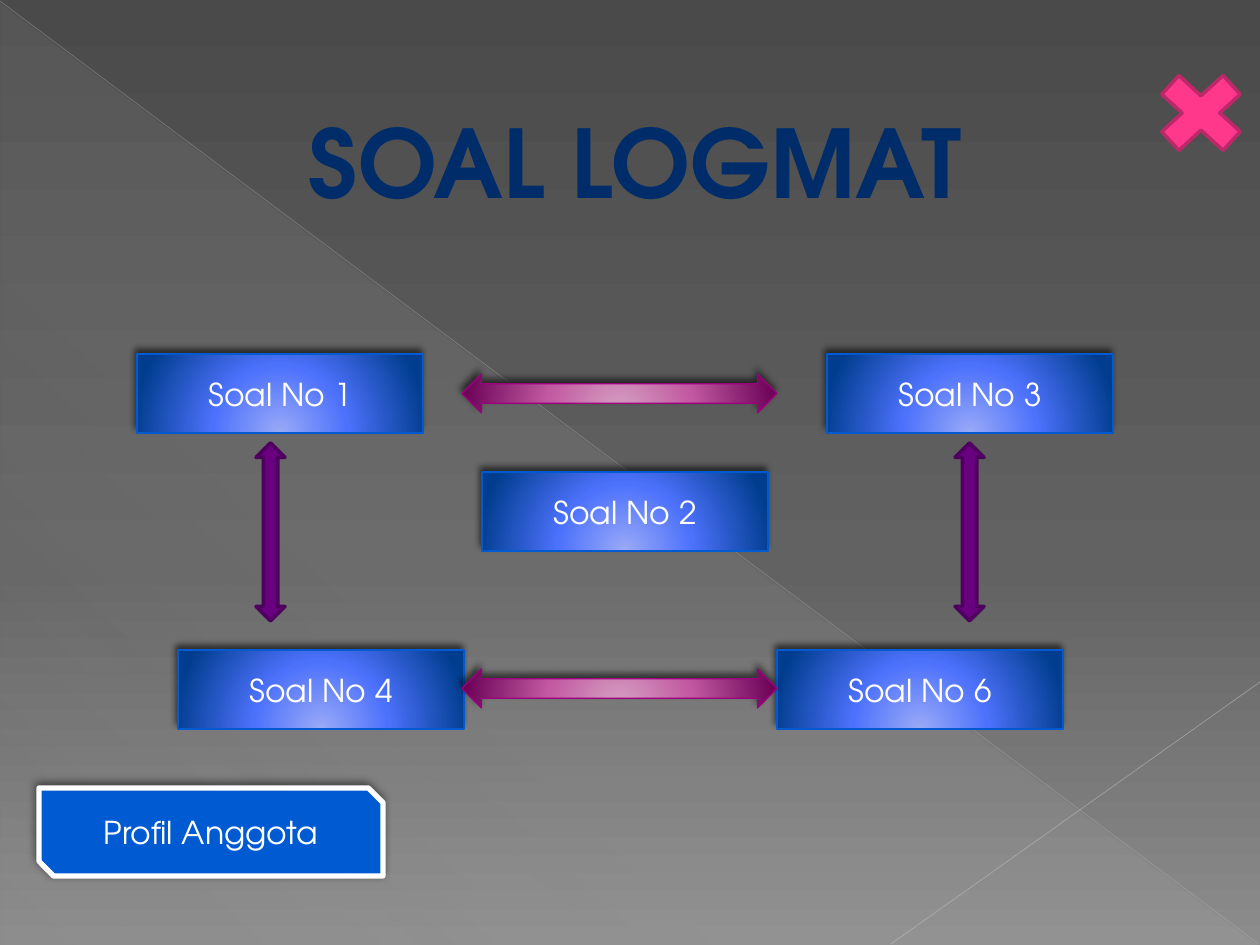
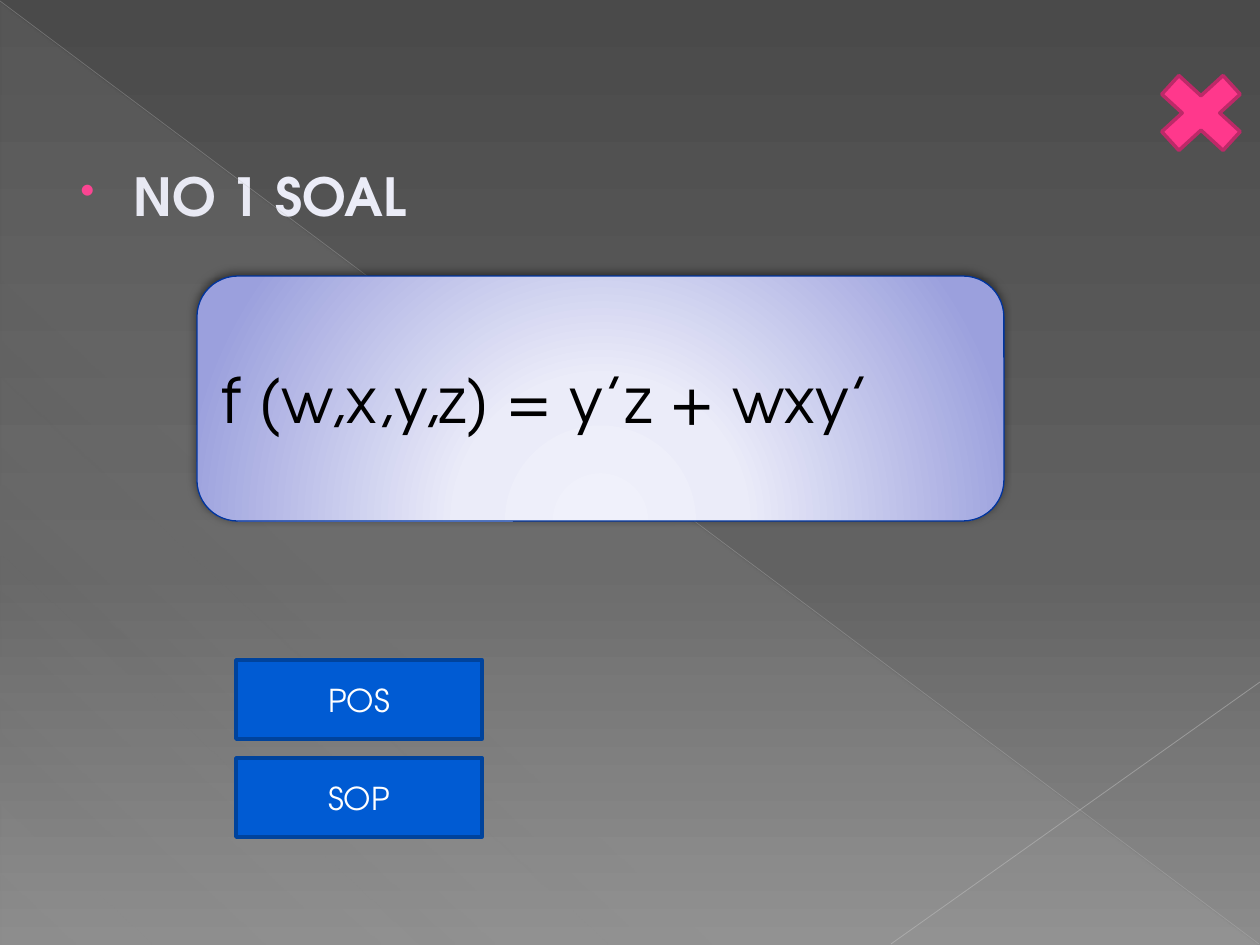
from lxml import etree
from pptx import Presentation, util as u
from pptx.dml.color import RGBColor
from pptx.enum import shapes, text
from pptx.oxml.ns import qn

FONT = "TeX Gyre Adventor"
WHITE, BLACK, BLUE, PINK = "FFFFFF", "000000", "005BD3", "FF388C"
KIND = shapes.MSO_SHAPE
ALIGN, ANCHOR = text.PP_ALIGN, text.MSO_ANCHOR

NIGHT = [(0, "4A4A4A"), (60, "626262"), (100, "8C8C8C")]
VEIL = [(0, "D2D2D2", 10), (70, "D2D2D2", 8), (100, "D2D2D2", 1)]
AZURE = [(0, "9AAAF8"), (46, "4C71FB"), (100, "003D8E")]
PLUM = [(0, "D5A2C3"), (46, "C259A1"), (100, "690055")]
PEARL = [(0, "F0F1FB"), (34, "EBECF9"), (100, "9BA0DD")]

# opacity %, blur pt, distance pt
NEAR, SOFT = (60, 4, 3), (50, 5, 2)


def px(n):
    return u.Inches(n / 126)


def rgb(code):
    return RGBColor.from_string(code)


def node(top, tag, **attrs):
    item = etree.SubElement(top, qn(tag))
    for key, val in attrs.items():
        item.set(key, str(val))
    return item


def tint(top, code, alpha=None):
    color = node(top, "a:srgbClr", val=code)
    if alpha is not None:
        node(color, "a:alpha", val=alpha * 1000)


def shade(fill, root, stops, angle=None):
    """Fill with a linear gradient, or with a glow from below if no angle is given."""
    fill.gradient()
    grad = next(root.iter(qn("a:gradFill")))
    for child in list(grad):
        grad.remove(child)
    group = node(grad, "a:gsLst")
    for pos, *color in stops:
        tint(node(group, "a:gs", pos=pos * 1000), *color)
    if angle is None:
        glow = node(grad, "a:path", path="circle")
        node(glow, "a:fillToRect", l=50000, t=155000, r=50000, b=-55000)
    else:
        node(grad, "a:lin", ang=angle * 60000, scaled=0)


def write(frame, words, size=18, color=WHITE, bold=False, align=ALIGN.CENTER,
          anchor=ANCHOR.MIDDLE, edge=None):
    """Set the text; edge is the colour and width of the letter outline."""
    frame.word_wrap = True
    frame.auto_size = text.MSO_AUTO_SIZE.NONE
    frame.vertical_anchor = anchor
    para = frame.paragraphs[0]
    para.alignment = align
    run = para.add_run()
    run.text = words
    font = run.font
    font.name, font.size, font.bold = FONT, u.Pt(size), bold
    font.color.rgb = rgb(color)
    if edge:
        code, width = edge
        props = run._r.get_or_add_rPr()
        line = node(props, "a:ln", w=u.Pt(width))
        tint(node(line, "a:solidFill"), code)
        props.insert(0, line)
    return para


def shape(slide, kind, at, fill, line=None, width=0.75, shadow=None, angle=None):
    item = slide.shapes.add_shape(kind, *map(px, at))
    item.shadow.inherit = False
    if isinstance(fill, str):
        item.fill.solid()
        item.fill.fore_color.rgb = rgb(fill)
    else:
        shade(item.fill, item.element, fill, angle)
    if line:
        item.line.color.rgb = rgb(line)
        item.line.width = u.Pt(width)
    else:
        item.line.fill.background()
    if shadow:
        alpha, blur, dist = shadow
        effects = next(item.element.iter(qn("a:effectLst")))
        cast = node(effects, "a:outerShdw", blurRad=u.Pt(blur), dist=u.Pt(dist),
                    dir=245 * 60000, algn="ctr", rotWithShape=0)
        tint(cast, BLACK, alpha)
    return item


def ray(slide, ends, color, width, alpha):
    item = slide.shapes.add_connector(shapes.MSO_CONNECTOR.STRAIGHT, *map(px, ends))
    item.line.color.rgb = rgb(color)
    item.line.width = u.Pt(width)
    node(next(item.element.iter(qn("a:srgbClr"))), "a:alpha", val=alpha * 1000)
    node(item.element.spPr, "a:effectLst")


def title(slide, words, at, **style):
    item = slide.shapes.title
    item.left, item.top, item.width, item.height = map(px, at)
    return write(item.text_frame, words, bold=True, anchor=ANCHOR.TOP, **style)


def bullet(para):
    para.space_before = u.Pt(6)
    props = para._p.get_or_add_pPr()
    props.set("marL", str(u.Inches(0.49)))
    props.set("indent", str(u.Inches(-0.42)))
    tint(node(props, "a:buClr"), PINK)
    node(props, "a:buSzPct", val=80000)
    node(props, "a:buChar", char="•")


def start(deck):
    """Add a title-only slide with the shared backdrop."""
    slide = deck.slides.add_slide(deck.slide_layouts[5])
    shape(slide, KIND.RIGHT_TRIANGLE, (1, 3, 1257, 942), VEIL, angle=133)
    ray(slide, (0, 1, 1259, 944), "BFBFBF", 0.39, 35)
    ray(slide, (1260, 682, 891, 944), "C6C6C6", 0.47, 45)
    return slide


def cross(slide):
    shape(slide, KIND.MATH_MULTIPLY, (1142, 59, 118, 108), PINK, "BD2968", 2)


def menu(deck):
    slide = start(deck)
    title(slide, "SOAL LOGMAT", (197, 98, 876, 127), size=54, color="002D6A",
          edge=("FF8EBA", 1.42))
    spots = {1: (137, 354), 2: (482, 472), 3: (827, 354), 4: (178, 650), 6: (777, 650)}
    for num, spot in spots.items():
        box = shape(slide, KIND.RECTANGLE, (*spot, 286, 79), AZURE, BLUE, shadow=NEAR)
        write(box.text_frame, f"Soal No {num}")
    for left in (256, 955):
        shape(slide, KIND.UP_DOWN_ARROW, (left, 443, 29, 178), "68007F", "4D005E", 2)
    for top in (374, 669):
        shape(slide, KIND.LEFT_RIGHT_ARROW, (462, top, 315, 39), PLUM, "9C007F",
              shadow=NEAR)
    cross(slide)
    team = shape(slide, KIND.SNIP_2_DIAG_RECTANGLE, (39, 788, 344, 88), BLUE, WHITE, 3,
                 SOFT)
    write(team.text_frame, "Profil Anggota")


def task(deck):
    slide = start(deck)
    head = title(slide, "NO 1 SOAL", (59, 158, 1134, 178), size=30, color="EBECF7",
                 align=ALIGN.LEFT, edge=("002675", 2.48))
    bullet(head)
    card = shape(slide, KIND.ROUNDED_RECTANGLE, (197, 276, 807, 245), PEARL, "00349E",
                 shadow=SOFT)
    write(card.text_frame, "f (w,x,y,z) = y’z + wxy’", size=36, color=BLACK,
          align=ALIGN.LEFT)
    for row, form in enumerate(("POS", "SOP")):
        key = shape(slide, KIND.RECTANGLE, (236, 660 + 98 * row, 246, 79), BLUE,
                    "00439C", 2)
        write(key.text_frame, form)
    cross(slide)


def main():
    deck = Presentation()
    deck.slide_width, deck.slide_height = px(1260), px(945)
    master = deck.slide_master
    shade(master.background.fill, master.element, NIGHT, 90)
    menu(deck)
    task(deck)
    deck.save("out.pptx")


if __name__ == "__main__":
    main()
